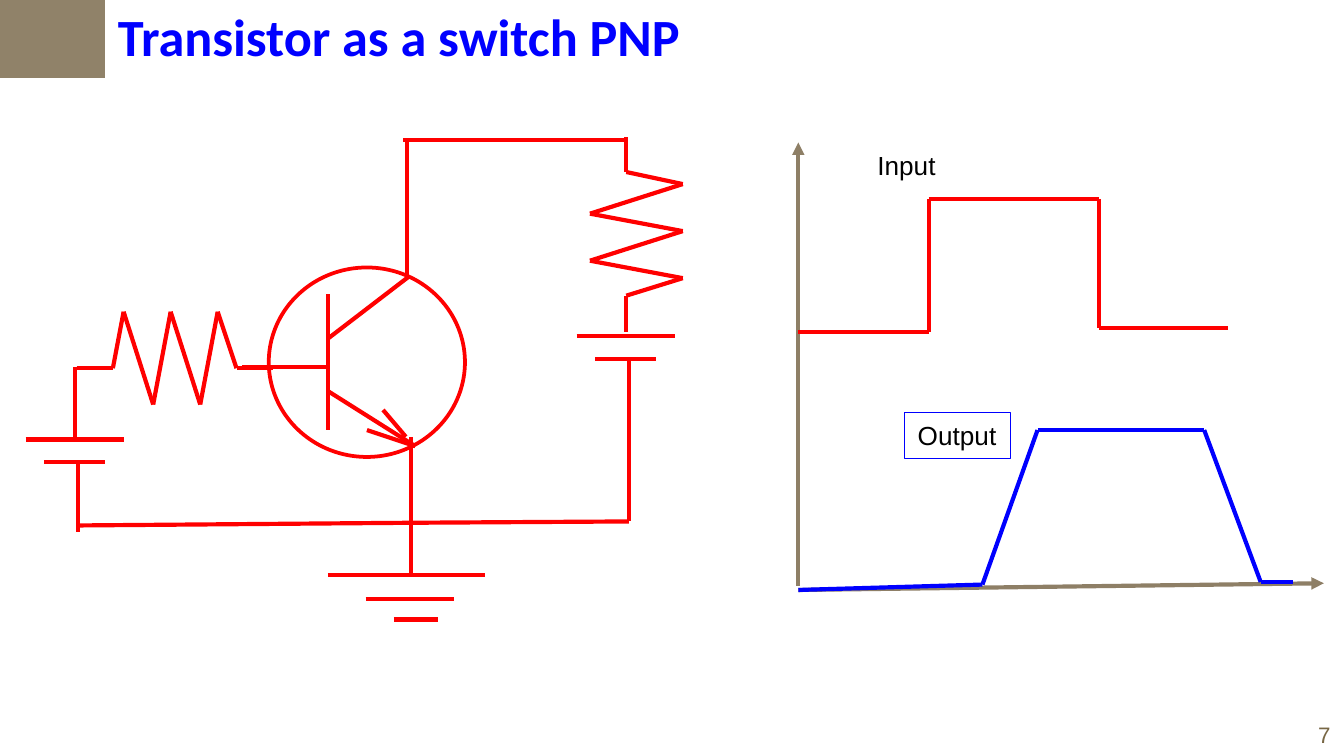
from dataclasses import dataclass

from lxml import etree
from pptx import Presentation
from pptx.dml.color import RGBColor
from pptx.enum.shapes import MSO_CONNECTOR, MSO_SHAPE
from pptx.enum.text import MSO_AUTO_SIZE
from pptx.oxml.ns import qn
from pptx.util import Inches, Pt

STRAIGHT = MSO_CONNECTOR.STRAIGHT
RECT = MSO_SHAPE.RECTANGLE
OVAL = MSO_SHAPE.OVAL
GROW = MSO_AUTO_SIZE.SHAPE_TO_FIT_TEXT

COLORS = {
    "red": "FF0000",
    "blue": "0000FF",
    "tan": "908269",
    "axis": "8E7F66",
    "brown": "786745",
    "black": "000000",
}

Point = tuple[float, float]


@dataclass
class Trace:
    points: list[Point]
    color: str = "red"
    arrow: bool = False


@dataclass
class Label:
    text: str
    box: tuple[float, float, float, float]
    size: int
    color: str = "black"
    font: str = "Arial"
    bold: bool = False
    wrap: bool = False
    frame: str = ""


def hue(name: str) -> RGBColor:
    return RGBColor.from_string(COLORS[name])


def draw_trace(shapes, trace: Trace) -> None:
    for start, end in zip(trace.points, trace.points[1:]):
        wire = shapes.add_connector(STRAIGHT, *map(Inches, start + end))
        wire.line.color.rgb = hue(trace.color)
        wire.line.width = Pt(2.25)
        props = wire._element.spPr
        if trace.arrow:
            tip = etree.SubElement(props.find(qn("a:ln")), qn("a:tailEnd"))
            tip.set("type", "triangle")
        etree.SubElement(props, qn("a:effectLst"))


def draw_label(shapes, label: Label) -> None:
    box = tuple(map(Inches, label.box))
    if label.frame:
        shape = shapes.add_shape(RECT, *box)
        shape.shadow.inherit = False
        shape.fill.background()
        shape.line.color.rgb = hue(label.frame)
        shape.line.width = Pt(0.75)
    else:
        shape = shapes.add_textbox(*box)
    frame = shape.text_frame
    frame.word_wrap = label.wrap
    frame.auto_size = GROW
    frame.text = label.text
    font = frame.paragraphs[0].font
    font.name = label.font
    font.size = Pt(label.size)
    font.bold = label.bold
    font.color.rgb = hue(label.color)


def flat(left: float, top: float, width: float) -> Trace:
    return Trace([(left, top), (left + width, top)])


def cell(left: float, top: float) -> list[Trace]:
    return [flat(left, top, 0.73), flat(left + 0.14, top + 0.17, 0.45)]


CIRCUIT = [
    Trace([(3.03, 1.06), (3.03, 2.07)]),
    Trace([(2.44, 2.19), (2.44, 3.2)]),
    Trace([(3.04, 2.06), (2.44, 2.52)]),
    Trace([(2.44, 2.91), (3.09, 3.32), (2.73, 3.2)]),
    Trace([(3.02, 3.25), (2.85, 3.05)]),
    Trace([(3.06, 3.25), (3.06, 4.27)]),
    flat(1.8, 2.73, 0.63),
    Trace([(0.57, 2.74), (0.84, 2.74), (0.92, 2.32), (1.14, 3.01), (1.27, 2.32),
           (1.49, 3.01), (1.62, 2.32), (1.76, 2.74), (2.03, 2.74)]),
    flat(2.44, 4.28, 1.17),
    flat(2.72, 4.46, 0.66),
    flat(2.93, 4.61, 0.33),
    *cell(0.19, 3.27),
    Trace([(0.58, 3.44), (0.58, 3.96)]),
    Trace([(0.57, 3.91), (3.06, 3.89), (4.68, 3.88), (4.68, 2.67)]),
    Trace([(0.56, 2.73), (0.56, 3.28)]),
    flat(3, 1.04, 1.67),
    Trace([(4.66, 1.02), (4.66, 1.28), (5.08, 1.37), (4.39, 1.59), (5.08, 1.72),
           (4.39, 1.94), (5.08, 2.07), (4.66, 2.2), (4.66, 2.47)]),
    *cell(4.29, 2.5),
]

GRAPH = [
    Trace([(5.94, 4.36), (5.94, 1.06)], "axis", True),
    Trace([(5.94, 4.39), (9.85, 4.34)], "axis", True),
    Trace([(5.94, 2.47), (6.91, 2.47), (6.91, 1.48), (8.18, 1.48), (8.18, 2.44),
           (9.14, 2.44)]),
    Trace([(5.94, 4.39), (7.31, 4.35), (7.72, 3.2), (8.96, 3.2), (9.38, 4.33),
           (9.62, 4.33)], "blue"),
]

LABELS = [
    Label("7", (9.71, 5.32, 0.29, 0.3), 12, "brown"),
    Label("Transistor as a switch PNP", (0.78, -0.02, 5.26, 0.57), 28, "blue",
          "Calibri", bold=True, wrap=True),
    Label("Input", (6.43, 1.06, 0.64, 0.34), 14),
    Label("Output", (6.73, 3.07, 0.79, 0.34), 14, frame="blue"),
]


def main() -> None:
    deck = Presentation()
    deck.slide_width = Inches(10)
    deck.slide_height = deck.slide_width * 9 // 16
    shapes = deck.slides.add_slide(deck.slide_layouts[6]).shapes

    block = shapes.add_shape(RECT, *map(Inches, (0.09, -0.11, 0.6, 0.78)))
    block.rotation = 270
    block.shadow.inherit = False
    block.fill.solid()
    block.fill.fore_color.rgb = hue("tan")
    block.line.fill.background()

    circuit = shapes.add_group_shape().shapes
    ring = circuit.add_shape(OVAL, *map(Inches, (2, 1.99, 1.46, 1.41)))
    ring.shadow.inherit = False
    ring.fill.background()
    ring.line.color.rgb = hue("red")
    ring.line.width = Pt(2)

    for trace in CIRCUIT:
        draw_trace(circuit, trace)
    for trace in GRAPH:
        draw_trace(shapes, trace)
    for label in LABELS:
        draw_label(shapes, label)

    deck.save("out.pptx")


if __name__ == "__main__":
    main()
